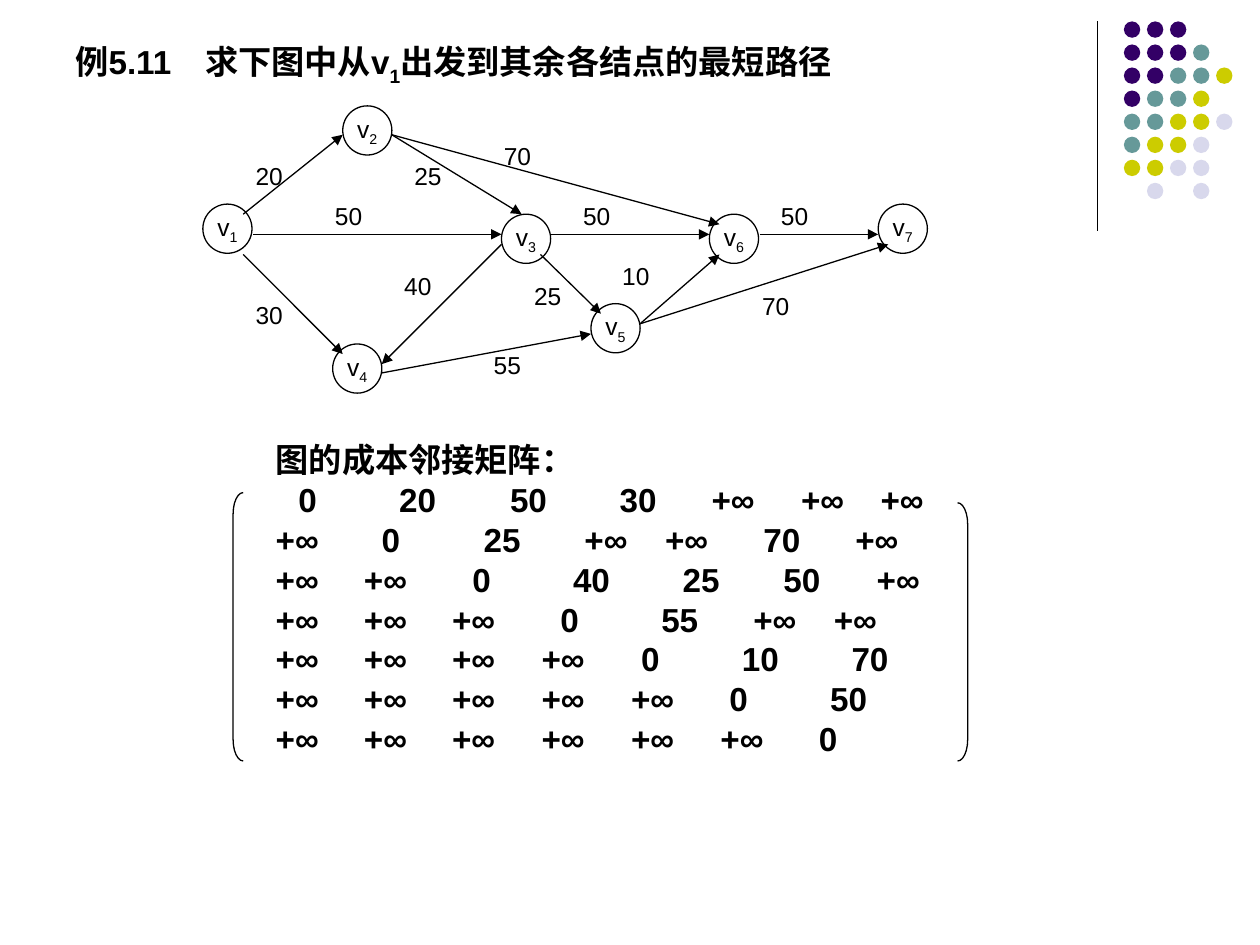
from lxml import etree
from pptx import Presentation
from pptx import util as u
from pptx.dml.color import RGBColor
from pptx.enum import shapes, text
from pptx.oxml.ns import qn

DOT_COLORS = {"p": "330066", "t": "669999", "y": "CCCC00", "l": "D8D8EC"}
DOT_ROWS = ["ppp", "pppt", "pptty", "ptty", "ttyyl", "tyyl", "yyll", " l l"]

NODES = {"1": (1.61, 1.62), "2": (2.72, 0.84), "4": (2.64, 2.73), "3": (3.98, 1.7),
         "5": (4.69, 2.41), "6": (5.63, 1.7), "7": (6.97, 1.62)}

# start, end, cost, left and top of the cost label
EDGES = [
    ((1.93, 1.7), (2.72, 1.07), "20", (1.93, 1.23)),
    ((1.93, 2.02), (2.72, 2.81), "30", (1.93, 2.33)),
    ((2.01, 1.86), (3.98, 1.86), "50", (2.56, 1.55)),
    ((3.11, 1.07), (4.14, 1.7), "25", (3.19, 1.23)),
    ((3.98, 1.94), (3.03, 2.89), "40", (3.11, 2.1)),
    ((3.03, 2.96), (4.69, 2.65), "55", (3.82, 2.73)),
    ((4.37, 1.86), (5.63, 1.86), "50", (4.53, 1.55)),
    ((5.08, 2.57), (5.71, 2.02), "10", (4.84, 2.02)),
    ((6.03, 1.86), (6.97, 1.86), "50", (6.1, 1.55)),
    ((5.08, 2.57), (7.05, 1.94), "70", (5.95, 2.26)),
    ((3.11, 1.07), (5.71, 1.78), "70", (3.9, 1.07)),
    ((4.29, 2.02), (4.77, 2.49), "25", (4.14, 2.18)),
]

# costs and the tab stops they stand at; a row starts at the left edge or at a tab
MATRIX = [
    ("\t0 20 50 30 +∞ +∞ +∞", [0.18, 0.98, 1.86, 2.73, 3.46, 4.17, 4.8]),
    ("+∞ 0 25 +∞ +∞ 70 +∞", [0.84, 1.65, 2.45, 3.09, 3.87, 4.6]),
    ("+∞ +∞ 0 40 25 50 +∞", [0.7, 1.56, 2.36, 3.23, 4.03, 4.77]),
    ("+∞ +∞ +∞ 0 55 +∞ +∞", [0.7, 1.4, 2.26, 3.06, 3.79, 4.43]),
    ("+∞ +∞ +∞ +∞ 0 10 70", [0.7, 1.4, 2.11, 2.9, 3.7, 4.57]),
    ("+∞ +∞ +∞ +∞ +∞ 0 50", [0.7, 1.4, 2.11, 2.82, 3.6, 4.4]),
    ("+∞ +∞ +∞ +∞ +∞ +∞ 0", [0.7, 1.4, 2.11, 2.82, 3.53, 4.31]),
]


def color(hex_code):
    return RGBColor.from_string(hex_code)


class GraphSlide:
    font = "Arial"
    ink = "000000"
    line_width = u.Pt(0.75)
    heading_size = 19
    label_size = 14

    def __init__(self, slide):
        self.slide = slide

    def runs(self, paragraph, parts, size, bold=False):
        """Add text parts by turns: normal, subscript, normal..."""
        for i, part in enumerate(parts):
            run = paragraph.add_run()
            run.text = part
            run.font.name = self.font
            run.font.size = u.Pt(size)
            run.font.bold = bold
            run.font.color.rgb = color(self.ink)
            if i % 2:
                run.font._element.set("baseline", "-25000")

    def tabs(self, paragraph, stops):
        tab_list = etree.SubElement(paragraph._p.get_or_add_pPr(), qn("a:tabLst"))
        for stop in stops:
            etree.SubElement(tab_list, qn("a:tab"), pos=str(u.Inches(stop)), algn="l")

    def text_box(self, *box):
        frame = self.slide.shapes.add_textbox(*map(u.Inches, box)).text_frame
        frame.word_wrap = True
        return frame

    def shape(self, kind, box, fill=None):
        """Add a filled shape without outline, or an outlined one without fill."""
        shape = self.slide.shapes.add_shape(kind, *map(u.Inches, box))
        shape.shadow.inherit = False
        if fill:
            shape.fill.solid()
            shape.fill.fore_color.rgb = color(fill)
            shape.line.fill.background()
        else:
            shape.fill.background()
            shape.line.color.rgb = color(self.ink)
            shape.line.width = self.line_width
        return shape

    def line(self, start, end, arrow=False):
        line = self.slide.shapes.add_connector(
            shapes.MSO_CONNECTOR.STRAIGHT, *map(u.Inches, (*start, *end)))
        line.line.color.rgb = color(self.ink)
        line.line.width = self.line_width
        if arrow:
            etree.SubElement(line.line._get_or_add_ln(), qn("a:tailEnd"), type="triangle")
        etree.SubElement(line._element.spPr, qn("a:effectLst"))

    def dots(self, left=8.92, top=0.17, step=0.183, size=0.13):
        for row, keys in enumerate(DOT_ROWS):
            for column, key in enumerate(keys):
                if key in DOT_COLORS:
                    box = (left + column * step, top + row * step, size, size)
                    self.shape(shapes.MSO_SHAPE.OVAL, box, DOT_COLORS[key])

    def title(self, number, before, index, after):
        frame = self.text_box(0.5, 0.13, 8.25, 0.61)
        frame.vertical_anchor = text.MSO_ANCHOR.BOTTOM
        heading = frame.paragraphs[0]
        self.tabs(heading, [1.03])
        self.runs(heading, [f"{number}\t{before}", index, after], self.heading_size, True)

    def node(self, index, left, top):
        node = self.shape(shapes.MSO_SHAPE.OVAL, (left, top, 0.39, 0.39))
        frame = node.text_frame
        frame.word_wrap = False
        frame.vertical_anchor = text.MSO_ANCHOR.MIDDLE
        frame.paragraphs[0].alignment = text.PP_ALIGN.CENTER
        self.runs(frame.paragraphs[0], ["v", index], self.label_size)

    def edge(self, start, end, cost, label_at):
        self.line(start, end, arrow=True)
        frame = self.text_box(*label_at, 0.47, 0.34)
        self.runs(frame.paragraphs[0], [cost], self.label_size)

    def matrix(self, heading):
        frame = self.text_box(2.09, 3.44, 5.67, 2.76)
        self.runs(frame.paragraphs[0], [heading], self.heading_size, True)
        for costs, stops in MATRIX:
            row = frame.add_paragraph()
            self.tabs(row, stops)
            self.runs(row, [costs.replace(" ", "\t")], self.heading_size, True)
        for paragraph in frame.paragraphs:
            paragraph.line_spacing = u.Pt(22.75)

    def bracket(self, kind, left, top, height, width=0.08, curve=0.17):
        bracket = self.shape(kind, (left, top, width, height))
        bracket.adjustments[0] = curve / width


def main():
    deck = Presentation()
    deck.slide_width, deck.slide_height = u.Inches(10), u.Inches(7.5)
    page = GraphSlide(deck.slides.add_slide(deck.slide_layouts[6]))
    page.line((8.71, 0.17), (8.71, 1.83))
    page.dots()
    page.title("例5.11", "求下图中从v", "1", "出发到其余各结点的最短路径")
    for index, place in NODES.items():
        page.node(index, *place)
    for edge in EDGES:
        page.edge(*edge)
    page.matrix("图的成本邻接矩阵：")
    page.bracket(shapes.MSO_SHAPE.LEFT_BRACKET, 1.85, 3.91, 2.13)
    page.bracket(shapes.MSO_SHAPE.RIGHT_BRACKET, 7.6, 3.99, 2.05)
    deck.save("out.pptx")


if __name__ == "__main__":
    main()
